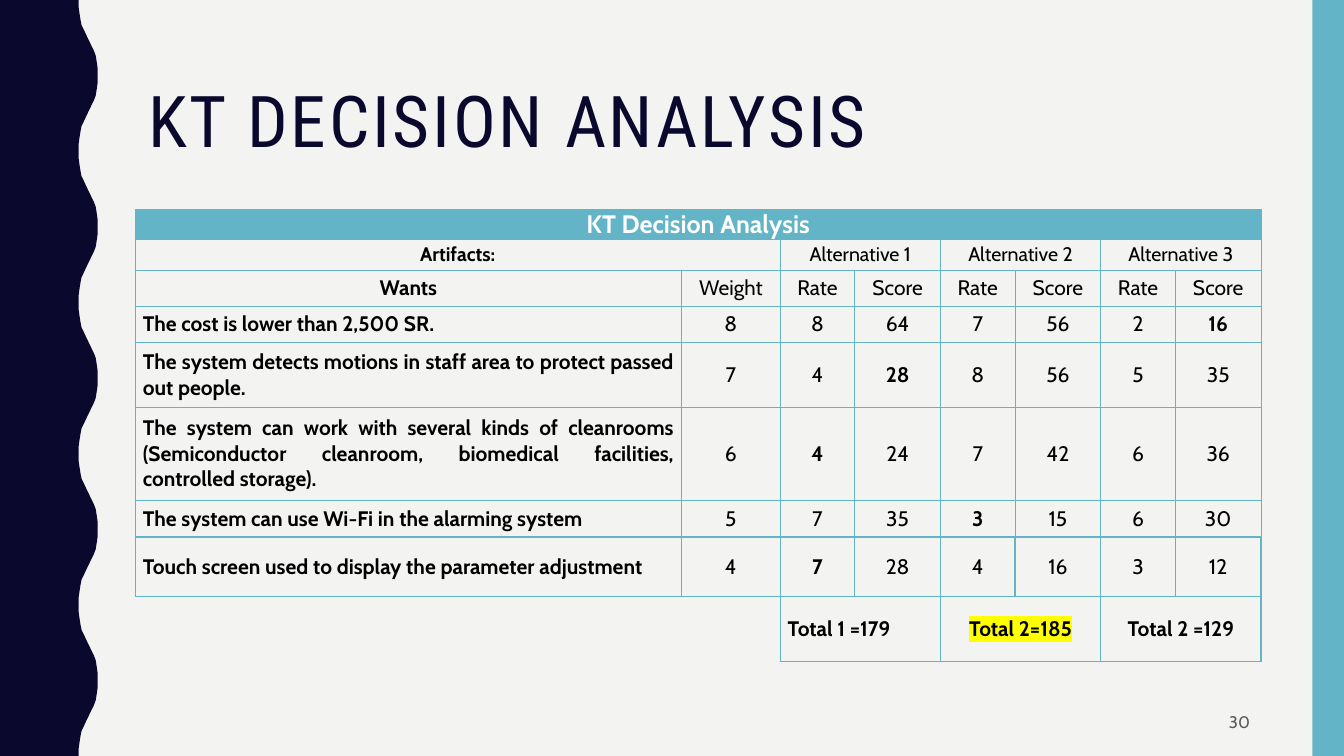
from lxml.etree import SubElement
from pptx import Presentation
from pptx.dml.color import RGBColor
from pptx.enum.shapes import MSO_SHAPE
from pptx.enum.text import MSO_ANCHOR, MSO_AUTO_SIZE, PP_ALIGN
from pptx.oxml.ns import qn
from pptx.util import Pt

NAVY = RGBColor(0x0B, 0x08, 0x2E)
TEAL = RGBColor(0x62, 0xB4, 0xC6)
PAPER = RGBColor(0xF3, 0xF3, 0xF2)
GREY = RGBColor(0x59, 0x59, 0x59)
WHITE = RGBColor(0xFF, 0xFF, 0xFF)
BLACK = RGBColor(0, 0, 0)
YELLOW = RGBColor(0xFF, 0xFF, 0)

WIDTH, HEIGHT = 960, 540
WAVE_PERIOD = 108
RISING_WAVE = [
    (56.2, 0), (56.2, 5), (56.9, 10), (57.6, 14.4), (58.3, 18),
    (59.8, 21), (61.2, 24), (62.6, 27), (64.1, 30), (65.5, 33),
    (67, 36), (68.4, 39.6), (69.1, 44), (69.8, 49), (69.8, 54),
]
FALLING_WAVE = [(x, WAVE_PERIOD - y) for x, y in RISING_WAVE[-2:0:-1]]

COLUMN_WIDTHS = [390.2, 70.5] + [53.3, 61.2] * 3
ROW_HEIGHTS = [21.6, 21.6, 25.9, 25.9, 46.1, 67, 25.9, 42.8, 46.1]
DECISION_ROWS = [
    ["KT Decision Analysis"],
    ["Artifacts:", "", "Alternative 1", "", "Alternative 2", "", "Alternative 3", ""],
    ["Wants", "Weight"] + ["Rate", "Score"] * 3,
    ["The cost is lower than 2,500 SR.", 8, 8, 64, 7, 56, 2, 16],
    ["The system detects motions in staff area to protect passed out people.",
     7, 4, 28, 8, 56, 5, 35],
    ["The system can work with several kinds of cleanrooms (Semiconductor cleanroom, "
     "biomedical facilities, controlled storage).", 6, 4, 24, 7, 42, 6, 36],
    ["The system can use Wi-Fi in the alarming system", 5, 7, 35, 3, 15, 6, 30],
    ["Touch screen used to display the parameter adjustment", 4, 7, 28, 4, 16, 3, 12],
    ["", "", "Total 1 =179", "", "Total 2=185", "", "Total 2 =129", ""],
]
TITLE_ROW, ARTIFACTS_ROW, WANTS_ROW, TOUCH_ROW, TOTALS_ROW = 0, 1, 2, 7, 8
BOLD_RATINGS = {(3, 7), (4, 3), (5, 2), (6, 4), (7, 2)}
BEST_TOTAL = (TOTALS_ROW, 4)


def write(frame, text, font="Cabin", size=15, color=BLACK, bold=False,
          align=PP_ALIGN.CENTER, spacing=None, tracking=None, highlight=None):
    paragraph = frame.paragraphs[0]
    paragraph.alignment = align
    paragraph.line_spacing = spacing
    run = paragraph.add_run()
    run.text = text
    run.font.size = Pt(size)
    run.font.bold = bold
    run.font.color.rgb = color
    properties = run.font._element
    if tracking:
        properties.set("spc", str(tracking * 100))
    if highlight is not None:
        marker = SubElement(properties, qn("a:highlight"))
        SubElement(marker, qn("a:srgbClr"), val=str(highlight))
    run.font.name = font


class DecisionSlide:
    def __init__(self, deck):
        self.slide = deck.slides.add_slide(deck.slide_layouts[5])
        self.slide.background.fill.solid()
        self.slide.background.fill.fore_color.rgb = PAPER

    def paint(self, shape, color):
        shape.shadow.inherit = False
        shape.fill.solid()
        shape.fill.fore_color.rgb = color
        shape.line.fill.background()

    def wave(self):
        edge = [(x, y + top) for top in range(0, HEIGHT, WAVE_PERIOD)
                for x, y in RISING_WAVE + FALLING_WAVE]
        edge += [(RISING_WAVE[0][0], HEIGHT), (0, HEIGHT)]
        outline = self.slide.shapes.build_freeform(0, 0)
        outline.add_line_segments([(Pt(x), Pt(y)) for x, y in edge], close=True)
        self.paint(outline.convert_to_shape(), NAVY)

    def band(self, left, top, width, height):
        band = self.slide.shapes.add_shape(
            MSO_SHAPE.RECTANGLE, Pt(left), Pt(top), Pt(width), Pt(height))
        self.paint(band, TEAL)

    def title(self, text, left, top, width, height):
        title = self.slide.shapes.title
        title.left, title.top = Pt(left), Pt(top)
        title.width, title.height = Pt(width), Pt(height)
        title.text_frame.auto_size = MSO_AUTO_SIZE.NONE
        title.text_frame.vertical_anchor = MSO_ANCHOR.MIDDLE
        write(title.text_frame, text, font="Roboto Condensed", size=51, color=NAVY,
              align=PP_ALIGN.LEFT, spacing=0.9, tracking=2)

    def page_number(self, text, left, top, width, height):
        number = self.slide.shapes.add_textbox(Pt(left), Pt(top), Pt(width), Pt(height))
        number.text_frame.word_wrap = True
        number.text_frame.vertical_anchor = MSO_ANCHOR.MIDDLE
        write(number.text_frame, text, size=12, color=GREY, align=PP_ALIGN.RIGHT)

    def borders(self, cell, width, sides="LRTB"):
        properties = cell._tc.get_or_add_tcPr()
        for side in "LRTB":
            line = SubElement(properties, qn("a:ln" + side), w=str(Pt(width)))
            if side in sides:
                fill = SubElement(line, qn("a:solidFill"))
                SubElement(fill, qn("a:srgbClr"), val=str(TEAL))
            else:
                SubElement(line, qn("a:noFill"))

    def decision_table(self, left, top):
        table = self.slide.shapes.add_table(
            len(ROW_HEIGHTS), len(COLUMN_WIDTHS), Pt(left), Pt(top),
            Pt(sum(COLUMN_WIDTHS)), Pt(sum(ROW_HEIGHTS))).table
        table.first_row = table.horz_banding = False
        for column, width in zip(table.columns, COLUMN_WIDTHS):
            column.width = Pt(width)
        for row, height in zip(table.rows, ROW_HEIGHTS):
            row.height = Pt(height)
        last = len(COLUMN_WIDTHS) - 1
        table.cell(TITLE_ROW, 0).merge(table.cell(TITLE_ROW, last))
        for row in (ARTIFACTS_ROW, TOTALS_ROW):
            for column in range(0, last, 2):
                table.cell(row, column).merge(table.cell(row, column + 1))
        for row in range(len(ROW_HEIGHTS)):
            for column in range(len(COLUMN_WIDTHS)):
                self.decision_cell(table.cell(row, column), row, column)

    def decision_cell(self, cell, row, column):
        cell.margin_left = cell.margin_right = Pt(5.4)
        cell.margin_top = cell.margin_bottom = 0
        cell.vertical_anchor = MSO_ANCHOR.MIDDLE
        under_wants = row == TOTALS_ROW and column < 2
        self.borders(cell, 1 if row >= TOUCH_ROW else 0.5,
                     "TR" if under_wants else "LRTB")
        if row == TITLE_ROW:
            cell.fill.solid()
            cell.fill.fore_color.rgb = TEAL
        else:
            cell.fill.background()
        if cell.is_spanned or under_wants:
            return
        align = PP_ALIGN.CENTER
        if column == 0 and row > WANTS_ROW:
            align = PP_ALIGN.JUSTIFY
        elif row == TOTALS_ROW and column == 2:
            align = PP_ALIGN.LEFT
        write(cell.text_frame, str(DECISION_ROWS[row][column]),
              size={TITLE_ROW: 18, ARTIFACTS_ROW: 14}.get(row, 15),
              color=WHITE if row == TITLE_ROW else BLACK,
              bold=column == 0 or row == TOTALS_ROW or (row, column) in BOLD_RATINGS,
              align=align,
              highlight=YELLOW if (row, column) == BEST_TOTAL else None)


def main():
    deck = Presentation()
    deck.slide_width, deck.slide_height = Pt(WIDTH), Pt(HEIGHT)
    page = DecisionSlide(deck)
    page.wave()
    page.band(937.5, 0, 22.5, HEIGHT)
    page.page_number("30", 678, 502, 222, 27)
    page.decision_table(96.6, 149.6)
    page.title("KT DECISION ANALYSIS", 98.6, 30.2, 801.4, 117.4)
    deck.save("out.pptx")


if __name__ == "__main__":
    main()
